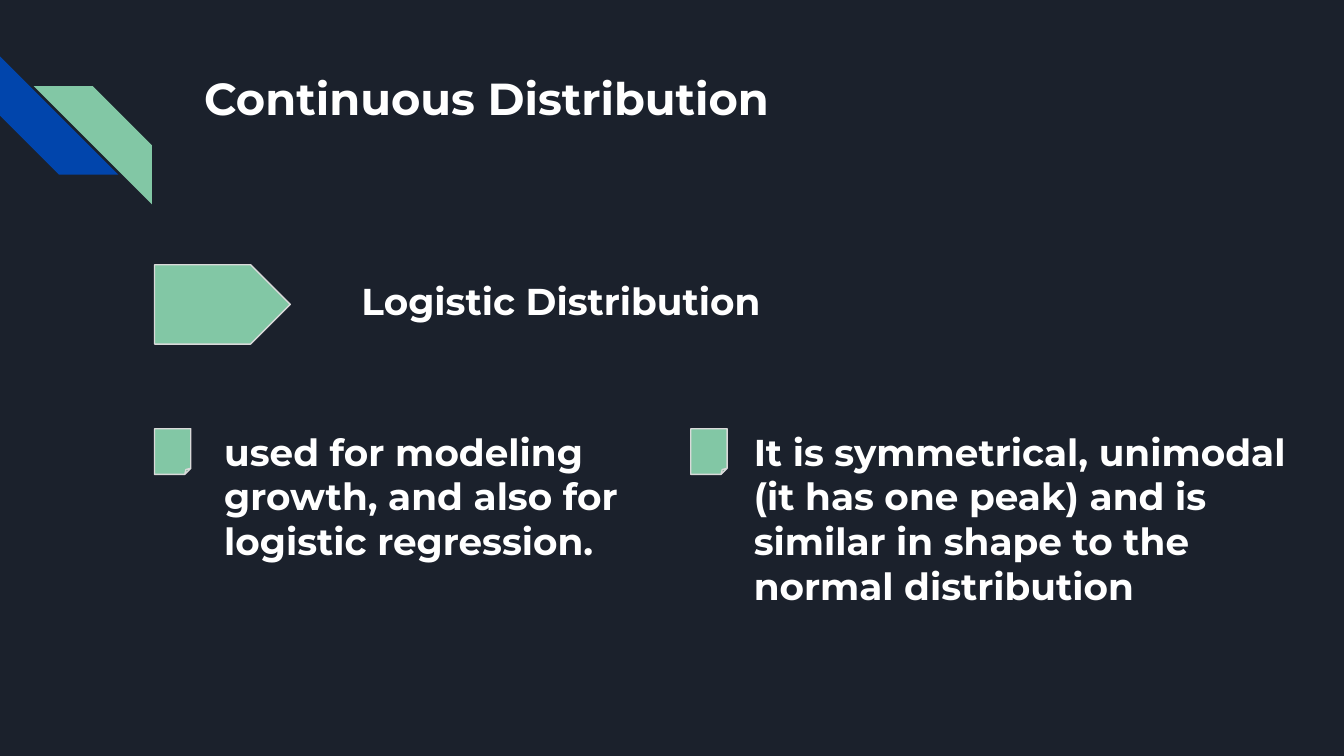
from pptx import Presentation
from pptx.dml.color import RGBColor
from pptx.enum.shapes import MSO_SHAPE
from pptx.enum.text import MSO_ANCHOR
from pptx.util import Inches, Pt

STRIPE = MSO_SHAPE.DIAGONAL_STRIPE
PENTAGON = MSO_SHAPE.PENTAGON
FOLDED_CORNER = MSO_SHAPE.FOLDED_CORNER
TOP = MSO_ANCHOR.TOP

NAVY = RGBColor(0x1B, 0x21, 0x2C)
BLUE = RGBColor(0x01, 0x45, 0xAC)
GREEN = RGBColor(0x82, 0xC7, 0xA5)
GRAY = RGBColor(0xD9, 0xD9, 0xD9)
WHITE = RGBColor(0xFF, 0xFF, 0xFF)

WIDTH = 10
HEIGHT = WIDTH * 9 / 16
MARGIN = 1.15
COLUMN_STEP = 3.99
FONT_FORMAT = {"name": "Montserrat", "bold": True}


def add_text(slide, text, left, top, width, height, size=20):
    box = slide.shapes.add_textbox(*map(Inches, (left, top, width, height)))
    frame = box.text_frame
    frame.word_wrap = True
    frame.vertical_anchor = TOP
    for side in ("left", "right", "top", "bottom"):
        setattr(frame, f"margin_{side}", Inches(0.1))
    paragraph = frame.paragraphs[0]
    paragraph.text = text
    font = paragraph.runs[0].font
    for name, value in FONT_FORMAT.items():
        setattr(font, name, value)
    font.size = Pt(size)
    font.color.rgb = WHITE


def add_marker(slide, kind, left, top, width, height, color=GREEN, outlined=True):
    shape = slide.shapes.add_shape(kind, *map(Inches, (left, top, width, height)))
    shape.shadow.inherit = False
    shape.fill.solid()
    shape.fill.fore_color.rgb = color
    if outlined:
        shape.line.color.rgb = GRAY
        shape.line.width = Pt(0.75)
    else:
        shape.line.fill.background()
    return shape


def add_corner_stripes(slide, left, top, size):
    stripes = ((0, 0, 270, BLUE), (0.25, 0.22, 90, GREEN))
    for across, down, rotation, color in stripes:
        stripe = add_marker(slide, STRIPE, left + across, top + down,
                            size, size, color, outlined=False)
        stripe.rotation = rotation


def add_subject(slide, text, left, top, width, height):
    add_marker(slide, PENTAGON, left, top, 1.01, height)
    indent = 1.44
    add_text(slide, text, left + indent, top, width - indent, height)


def add_point(slide, text, left, top, width, height, indent):
    add_marker(slide, FOLDED_CORNER, left, top + 0.1, 0.27, 0.34)
    add_text(slide, text, left + indent, top, width - indent, height)


def main():
    presentation = Presentation()
    presentation.slide_width = Inches(WIDTH)
    presentation.slide_height = Inches(HEIGHT)
    slide = presentation.slides.add_slide(presentation.slide_layouts[6])
    slide.background.fill.solid()
    slide.background.fill.fore_color.rgb = NAVY

    add_corner_stripes(slide, 0, 0.42, 0.88)
    add_text(slide, "Continuous Distribution", 1.42, 0.43, 7.7, 0.63, size=24)
    add_subject(slide, "Logistic Distribution", MARGIN, 1.97, 5.85, 0.59)

    points = (
        ("used for modeling growth, and also for logistic regression.",
         4.35, 0.96, 0.42),
        ("It is symmetrical, unimodal (it has one peak) and is similar "
         "in shape to the normal distribution", 4.78, 1.66, 0.37),
    )
    for column, (text, width, height, indent) in enumerate(points):
        left = MARGIN + column * COLUMN_STEP
        add_point(slide, text, left, 3.09, width, height, indent)

    presentation.save("out.pptx")


if __name__ == "__main__":
    main()
